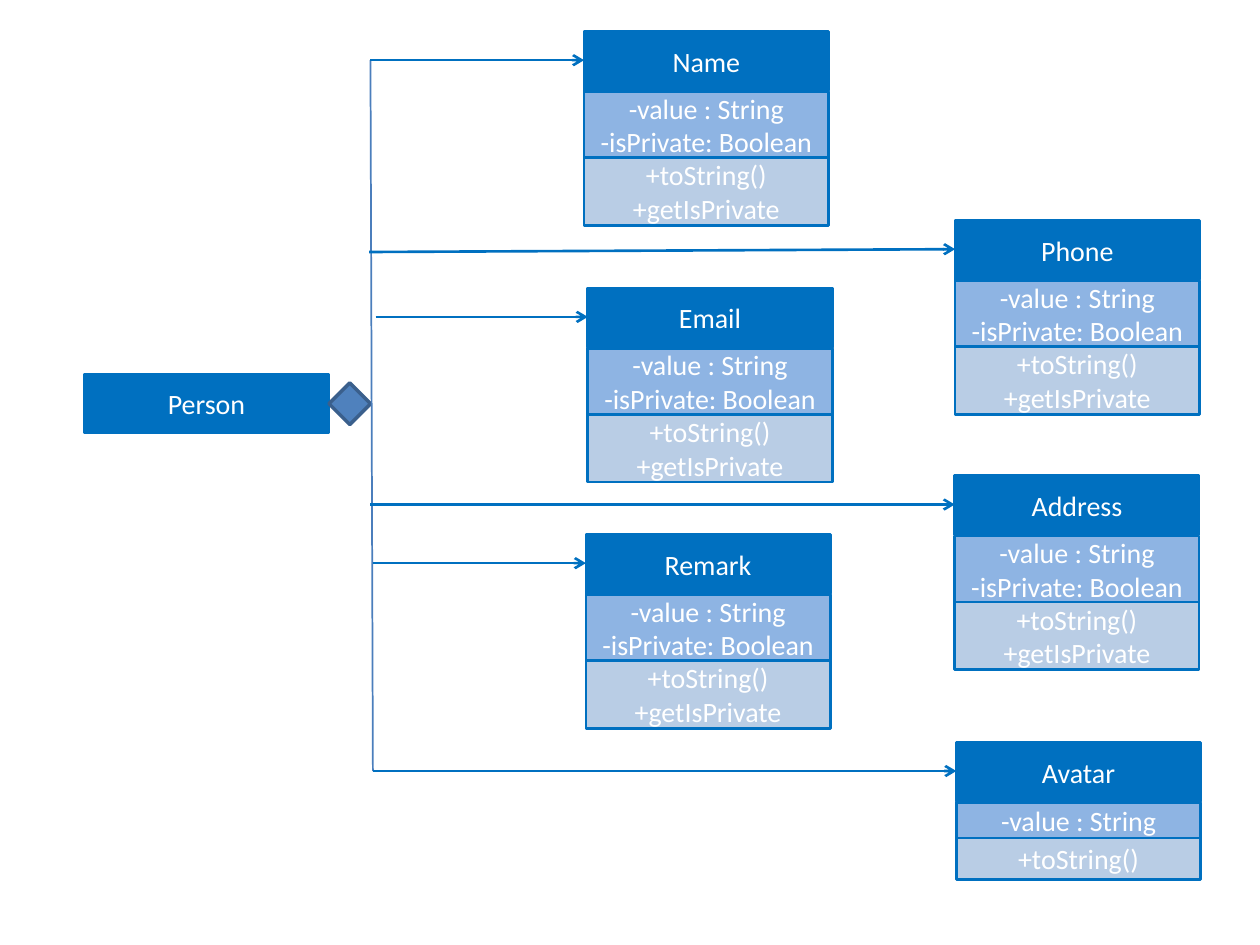
"""Build a class diagram of a Person and its contact details."""
from dataclasses import dataclass

from lxml.etree import SubElement
from pptx import Presentation
from pptx.dml.color import RGBColor
from pptx.enum.shapes import MSO_CONNECTOR as CONN, MSO_SHAPE as SHAPE
from pptx.enum.text import MSO_ANCHOR as ANCHOR, PP_ALIGN as ALIGN
from pptx.oxml.ns import qn
from pptx.util import Pt

BLUE, ATTR_FILL, OP_FILL, WHITE = "0070C0", "8EB4E3", "B9CDE5", "FFFFFF"
BOX_W, HEAD_H, BODY_DY, ARROW_DY = 139.7, 33.8, 34.4, 16.4
FONT = {"name": "Calibri", "size": Pt(16)}
FRAME = {"word_wrap": True, "vertical_anchor": ANCHOR.MIDDLE}


@dataclass
class ClassBox:
    name: str
    x: float
    y: float
    arrow_x: float
    arrow_drop: float = 0
    attrs: tuple = ("-value : String", "-isPrivate: Boolean")
    ops: tuple = ("+toString()", "+getIsPrivate")
    attr_h: float = 37.8
    op_h: float = 38.6


CLASSES = [
    ClassBox("Name", 333.8, 18, 211.7),
    ClassBox("Phone", 545.8, 126, 211, arrow_drop=1.6),
    ClassBox("Email", 335.9, 164.7, 214.6),
    ClassBox("Address", 545.6, 271.9, 211.7),
    ClassBox("Remark", 334.8, 305.4, 213.1),
    ClassBox("Avatar", 546.5, 424.2, 213.1, attrs=("-value : String",),
             ops=("+toString()",), attr_h=20.2, op_h=23.8),
]


def set_all(obj, values: dict) -> None:
    for key, value in values.items():
        setattr(obj, key, value)


def rgb(color: str) -> RGBColor:
    return RGBColor.from_string(color)


def add_box(s, x: float, y: float, w: float, h: float, fill: str, lines: tuple = (),
            kind=SHAPE.RECTANGLE, line: str = BLUE, weight: float = 1.5) -> None:
    sp = s.shapes.add_shape(kind, Pt(x), Pt(y), Pt(w), Pt(h))
    sp.shadow.inherit = False
    sp.fill.solid()
    sp.fill.fore_color.rgb = rgb(fill)
    sp.line.color.rgb = rgb(line)
    sp.line.width = Pt(weight)
    tf = sp.text_frame
    set_all(tf, FRAME)
    for i, text in enumerate(lines):
        p = tf.add_paragraph() if i else tf.paragraphs[0]
        p.alignment = ALIGN.CENTER
        r = p.add_run()
        r.text = text
        set_all(r.font, FONT)
        r.font.color.rgb = rgb(WHITE)


def add_line(s, x1: float, y1: float, x2: float, y2: float,
             color: str = BLUE, weight: float = 1.5, arrow: bool = True) -> None:
    cx = s.shapes.add_connector(CONN.STRAIGHT, Pt(x1), Pt(y1), Pt(x2), Pt(y2))
    cx.line.color.rgb = rgb(color)
    cx.line.width = Pt(weight)
    if arrow:
        SubElement(cx.line._get_or_add_ln(), qn("a:tailEnd"), type="arrow")
    SubElement(cx._element.spPr, qn("a:effectLst"))


def add_class(s, c: ClassBox) -> None:
    arrow_y = c.y + ARROW_DY
    add_line(s, c.arrow_x, arrow_y + c.arrow_drop, c.x, arrow_y)
    add_box(s, c.x, c.y, BOX_W, HEAD_H, BLUE, (c.name,))
    body_y = c.y + BODY_DY
    add_box(s, c.x, body_y, BOX_W, c.attr_h, ATTR_FILL, c.attrs)
    add_box(s, c.x, body_y + c.attr_h, BOX_W, c.op_h, OP_FILL, c.ops)


def main() -> None:
    prs = Presentation()
    set_all(prs, {"slide_width": Pt(720), "slide_height": Pt(540)})
    s = prs.slides.add_slide(prs.slide_layouts[6])
    add_box(s, 48.2, 213.8, BOX_W, HEAD_H, BLUE, ("Person",))
    add_box(s, 188, 218.8, 23.8, 23.8, "4F81BD", kind=SHAPE.DIAMOND,
            line="3A5F8C", weight=2)
    add_line(s, 211.7, 34.4, 213.1, 440.6, "4B7EBC", 1, arrow=False)
    for c in CLASSES:
        add_class(s, c)
    prs.save("out.pptx")


if __name__ == "__main__":
    main()
